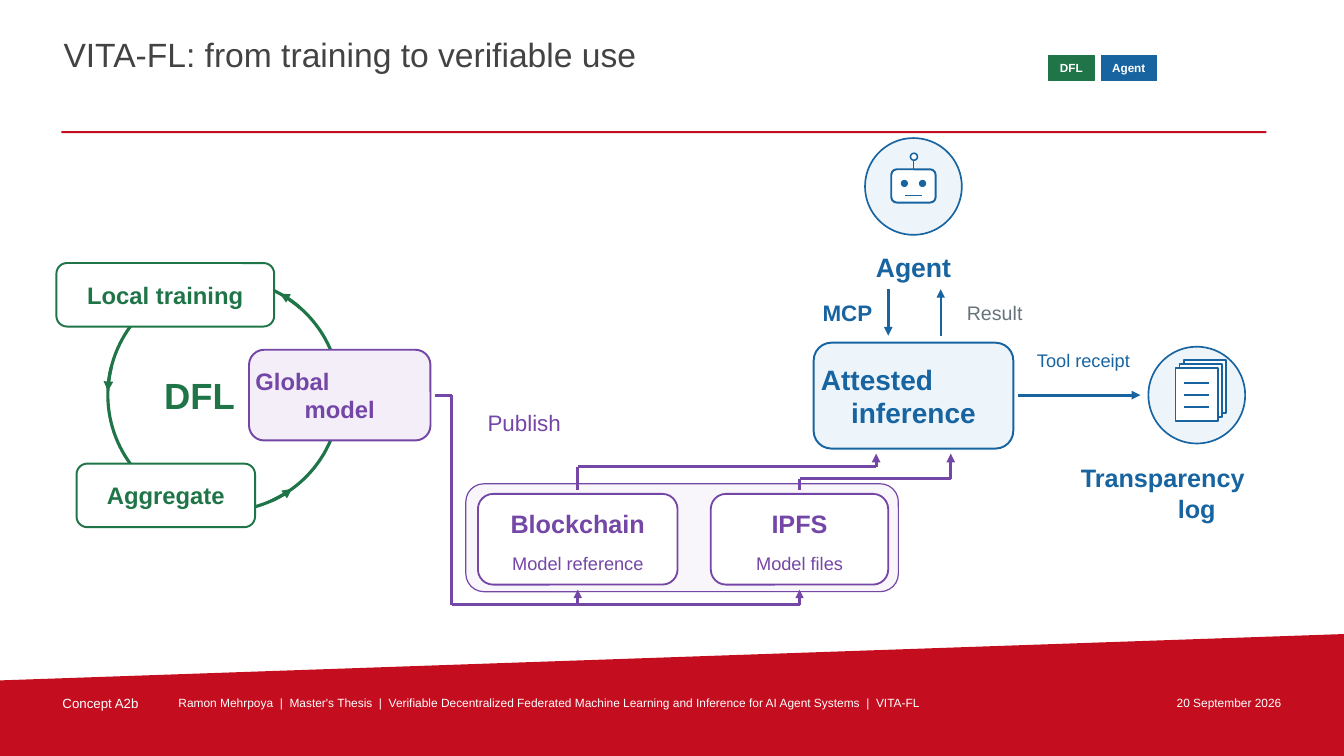
"""Build the VITA-FL overview slide with its training loop, storage and inference path."""
from dataclasses import dataclass
from itertools import pairwise
from math import cos, radians, sin

from lxml.etree import SubElement
from pptx import Presentation
from pptx.dml.color import RGBColor
from pptx.enum.shapes import MSO_CONNECTOR, MSO_SHAPE
from pptx.enum.text import MSO_ANCHOR, MSO_AUTO_SIZE, PP_ALIGN
from pptx.oxml.ns import qn
from pptx.util import Inches, Pt


@dataclass(frozen=True)
class Theme:
    font: str = "Arial"
    red: str = "C40D1E"
    green: str = "207548"
    blue: str = "1764A1"
    purple: str = "7446A6"
    gray: str = "67747C"
    dark: str = "434343"
    white: str = "FFFFFF"
    pale_blue: str = "EDF4FA"
    pale_purple: str = "F3EEF8"
    panel: str = "F8F5FB"
    title: float = 24
    hub: float = 26
    inference: float = 20
    agent: float = 19
    heading: float = 18
    node: float = 17
    label: float = 16
    result: float = 14
    detail: float = 13
    concept: float = 9.5
    footer: float = 8.5
    chip: float = 8.4
    margin: float = 0.02


THEME = Theme()


def write_text(frame, text, size, color, bold=False, align=PP_ALIGN.CENTER,
               first_align=None, anchor=MSO_ANCHOR.MIDDLE, margin=0):
    frame.word_wrap = True
    frame.auto_size = MSO_AUTO_SIZE.NONE
    frame.vertical_anchor = anchor
    frame.margin_left = frame.margin_right = Inches(margin)
    frame.margin_top = frame.margin_bottom = Inches(margin)
    frame.text = text
    for paragraph in frame.paragraphs:
        paragraph.alignment = align
        paragraph.font.name = THEME.font
        paragraph.font.size = Pt(size)
        paragraph.font.bold = bold
        paragraph.font.color.rgb = RGBColor.from_string(color)
    if first_align is not None:
        frame.paragraphs[0].alignment = first_align


class SlideBuilder:
    def __init__(self, slide, theme):
        self.slide = slide
        self.shapes = slide.shapes
        self.theme = theme

    def paint(self, shape, fill, line=None, width=1.0):
        shape.shadow.inherit = False
        shape.fill.solid()
        shape.fill.fore_color.rgb = RGBColor.from_string(fill)
        if line is None:
            shape.line.fill.background()
        else:
            shape.line.color.rgb = RGBColor.from_string(line)
            shape.line.width = Pt(width)
        return shape

    def title(self, text, box):
        title = self.shapes.title
        title.left, title.top, title.width, title.height = map(Inches, box)
        write_text(title.text_frame, text, self.theme.title, self.theme.dark,
                   align=PP_ALIGN.LEFT, anchor=MSO_ANCHOR.TOP, margin=self.theme.margin)

    def text(self, text, box, size, color, **text_format):
        shape = self.shapes.add_textbox(*map(Inches, box))
        write_text(shape.text_frame, text, size, color, **text_format)

    def shape(self, kind, box, fill, line=None, width=1.0):
        return self.paint(self.shapes.add_shape(kind, *map(Inches, box)), fill, line, width)

    def node(self, text, box, fill, color, size, **text_format):
        shape = self.shape(MSO_SHAPE.ROUNDED_RECTANGLE, box, fill, color, 1.4)
        write_text(shape.text_frame, text, size, color, bold=True,
                   margin=self.theme.margin, **text_format)

    def chip(self, text, box, fill):
        shape = self.shape(MSO_SHAPE.RECTANGLE, box, fill, fill, 0.55)
        write_text(shape.text_frame, text, self.theme.chip, self.theme.white, bold=True)

    def polygon(self, points, fill):
        corners = [(Inches(x), Inches(y)) for x, y in points]
        builder = self.shapes.build_freeform(*corners[0])
        builder.add_line_segments(corners[1:], close=True)
        self.paint(builder.convert_to_shape(), fill)

    def route(self, points, color, width, arrow=True):
        for start, end in pairwise(points):
            connector = self.shapes.add_connector(
                MSO_CONNECTOR.STRAIGHT, *map(Inches, (*start, *end)))
            connector.line.color.rgb = RGBColor.from_string(color)
            connector.line.width = Pt(width)
            properties = connector._element.spPr
            if arrow and end == points[-1]:
                SubElement(properties.find(qn("a:ln")), qn("a:tailEnd"), type="triangle")
            SubElement(properties, qn("a:effectLst"))


def draw_frame(builder):
    builder.polygon([(0, 6.75), (13.33, 6.29), (13.33, 7.5), (0, 7.5)], THEME.red)
    builder.title("VITA-FL: from training to verifiable use", (0.61, 0.32, 9.65, 0.62))
    builder.shape(MSO_SHAPE.RECTANGLE, (0.61, 1.3, 11.95, 0.02), THEME.red)
    credit = ("Ramon Mehrpoya  |  Master's Thesis  |  Verifiable Decentralized Federated "
              "Machine Learning and Inference for AI Agent Systems  |  VITA-FL")
    for text, left, width, size, align in (
            ("Concept A2b", 0.6, 1, THEME.concept, PP_ALIGN.LEFT),
            (credit, 1.75, 9.35, THEME.footer, PP_ALIGN.LEFT),
            ("20 September 2026", 11.2, 1.53, THEME.footer, PP_ALIGN.RIGHT)):
        builder.text(text, (left, 6.88, width, 0.22), size, THEME.white,
                     align=align, anchor=MSO_ANCHOR.TOP, margin=THEME.margin)
    builder.chip("DFL", (10.4, 0.55, 0.45, 0.25), THEME.green)
    builder.chip("Agent", (10.92, 0.55, 0.55, 0.25), THEME.blue)


def draw_training_loop(builder):
    center_x, center_y, radius = 2.22, 3.92, 1.15
    builder.shape(MSO_SHAPE.OVAL, (center_x - radius, center_y - radius, 2 * radius, 2 * radius),
                  THEME.white, THEME.green, 2.25)
    for start in (194, 66, -49):
        angles = [radians(start - 1.5 * step) for step in range(9)]
        builder.route([(center_x + radius * cos(angle), center_y + radius * sin(angle))
                       for angle in angles], THEME.green, 2.3)
    builder.node("Local training", (0.56, 2.61, 2.16, 0.63), THEME.white, THEME.green, THEME.node)
    builder.node("Aggregate", (0.76, 4.6, 1.77, 0.63), THEME.white, THEME.green, THEME.node)
    builder.node("Global\nmodel", (2.47, 3.47, 1.8, 0.9), THEME.pale_purple, THEME.purple,
                 THEME.node, first_align=PP_ALIGN.LEFT)
    builder.text("DFL", (1.31, 3.67, 1.34, 0.5), THEME.hub, THEME.green, bold=True)


def draw_storage(builder):
    builder.shape(MSO_SHAPE.ROUNDED_RECTANGLE, (4.62, 4.8, 4.29, 1.07),
                  THEME.panel, THEME.purple, 0.85)
    builder.text("Publish", (4.62, 4.03, 1.16, 0.33), THEME.label, THEME.purple)
    builder.route([(4.31, 3.92), (4.48, 3.92), (4.48, 6)], THEME.purple, 2, arrow=False)
    for name, detail, left, width, turn_y, target_x in (
            ("Blockchain", "Model reference", 4.74, 1.98, 4.63, 8.69),
            ("IPFS", "Model files", 7.05, 1.76, 4.75, 9.43)):
        middle = left + width / 2
        builder.route([(4.48, 6), (middle, 6), (middle, 5.85)], THEME.purple, 2)
        builder.shape(MSO_SHAPE.ROUNDED_RECTANGLE, (left, 4.9, width, 0.9),
                      THEME.white, THEME.purple, 1.3)
        builder.text(name, (left + 0.08, 5.01, width - 0.16, 0.36),
                     THEME.heading, THEME.purple, bold=True)
        builder.text(detail, (left + 0.08, 5.45, width - 0.16, 0.28), THEME.detail, THEME.purple)
        builder.route([(middle, 4.86), (middle, turn_y), (target_x, turn_y), (target_x, 4.5)],
                      THEME.purple, 2.1)


def draw_agent(builder):
    builder.shape(MSO_SHAPE.OVAL, (8.58, 1.37, 0.96, 0.96), THEME.pale_blue, THEME.blue, 1.2)
    builder.shape(MSO_SHAPE.ROUNDED_RECTANGLE, (8.84, 1.68, 0.44, 0.33),
                  THEME.white, THEME.blue, 1.4)
    for eye_left in (8.94, 9.12):
        builder.shape(MSO_SHAPE.OVAL, (eye_left, 1.79, 0.06, 0.06), THEME.blue, THEME.blue, 0.8)
    builder.route([(8.98, 1.94), (9.14, 1.94)], THEME.blue, 1.2, arrow=False)
    builder.route([(9.06, 1.68), (9.06, 1.59)], THEME.blue, 1.2, arrow=False)
    builder.shape(MSO_SHAPE.OVAL, (9.03, 1.52, 0.07, 0.07), THEME.white, THEME.blue, 1.1)
    builder.text("Agent", (7.91, 2.46, 2.3, 0.38), THEME.agent, THEME.blue, bold=True)


def draw_inference(builder):
    builder.node("Attested\ninference", (8.07, 3.4, 1.98, 1.05), THEME.pale_blue, THEME.blue,
                 THEME.inference, first_align=PP_ALIGN.LEFT)
    builder.route([(8.81, 2.87), (8.81, 3.33)], THEME.blue, 2.1)
    builder.text("MCP", (8.08, 2.95, 0.65, 0.3), THEME.label, THEME.blue, bold=True)
    builder.route([(9.33, 3.33), (9.33, 2.87)], THEME.blue, 1.5)
    builder.text("Result", (9.47, 2.95, 0.79, 0.3), THEME.result, THEME.gray)
    builder.route([(10.1, 3.92), (11.31, 3.92)], THEME.blue, 2.1)
    builder.text("Tool receipt", (10.14, 3.41, 1.21, 0.33), THEME.detail, THEME.blue)


def draw_log(builder):
    builder.shape(MSO_SHAPE.OVAL, (11.39, 3.44, 0.96, 0.96), THEME.pale_blue, THEME.blue, 1.2)
    for sheet in range(3):
        builder.shape(MSO_SHAPE.RECTANGLE, (11.74 - 0.04 * sheet, 3.57 + 0.04 * sheet, 0.42, 0.53),
                      THEME.white, THEME.blue, 1.2)
    for line_y in (3.8, 3.92, 4.04):
        builder.route([(11.74, line_y), (11.99, line_y)], THEME.blue, 1.2, arrow=False)
    builder.text("Transparency\nlog", (10.72, 4.53, 2.3, 0.72), THEME.heading, THEME.blue,
                 bold=True, first_align=PP_ALIGN.LEFT)


def main():
    presentation = Presentation()
    presentation.slide_width, presentation.slide_height = Inches(13.33), Inches(7.5)
    builder = SlideBuilder(presentation.slides.add_slide(presentation.slide_layouts[5]), THEME)
    for draw in (draw_frame, draw_training_loop, draw_storage,
                 draw_agent, draw_inference, draw_log):
        draw(builder)
    presentation.save("out.pptx")


if __name__ == "__main__":
    main()
